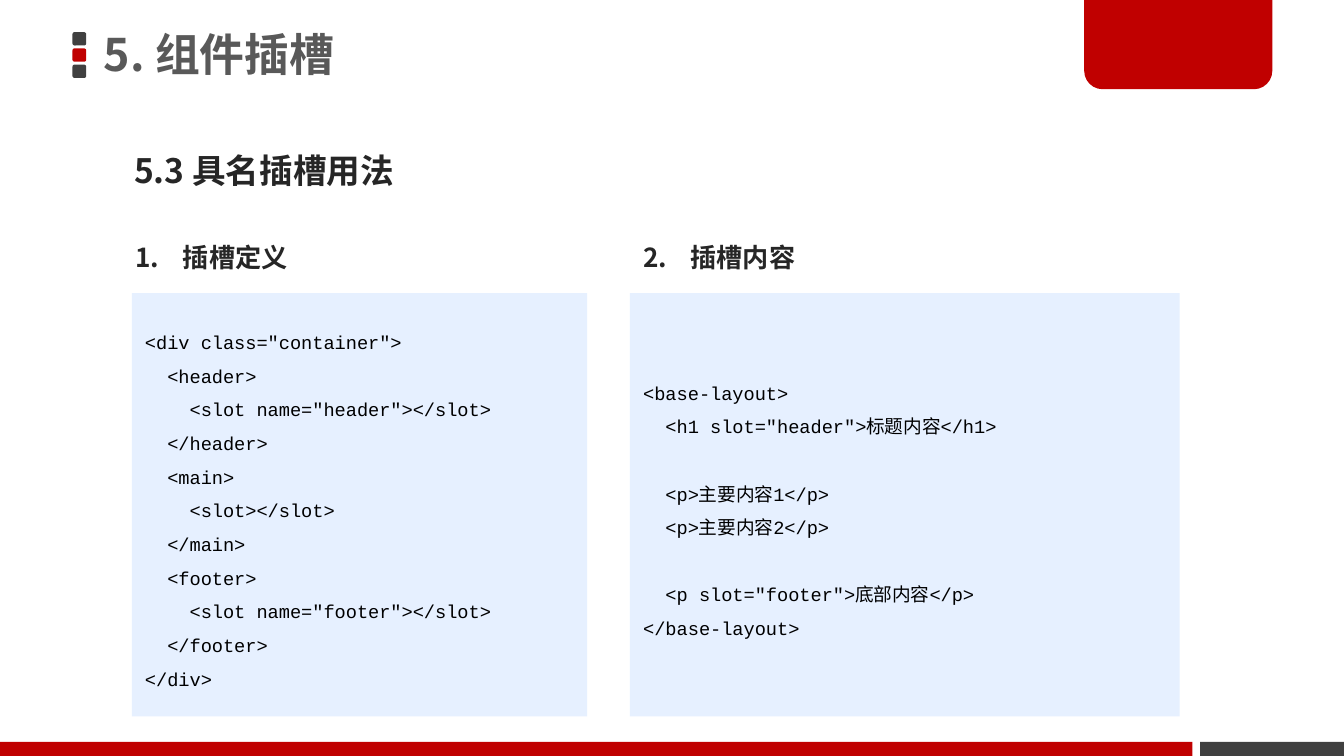
from lxml import etree
from pptx import Presentation
from pptx.dml.color import RGBColor
from pptx.enum.shapes import MSO_SHAPE
from pptx.enum.text import MSO_ANCHOR, MSO_AUTO_SIZE, PP_ALIGN
from pptx.oxml.ns import qn
from pptx.util import Pt

RECT = MSO_SHAPE.RECTANGLE
ROUND = MSO_SHAPE.ROUNDED_RECTANGLE
TAB = MSO_SHAPE.ROUND_2_SAME_RECTANGLE
TOP, MIDDLE = MSO_ANCHOR.TOP, MSO_ANCHOR.MIDDLE
LEFT = PP_ALIGN.LEFT
NO_FIT = MSO_AUTO_SIZE.NONE

SANS, MONO = "Noto Sans CJK SC", "Courier New"
RED, DARK, PANEL = "C00000", "404040", "E6F0FF"
CODE_PITCH = 18

SLOT_CODE = """<div class="container">
  <header>
    <slot name="header"></slot>
  </header>
  <main>
    <slot></slot>
  </main>
  <footer>
    <slot name="footer"></slot>
  </footer>
</div>"""

CONTENT_CODE = """<base-layout>
  <h1 slot="header">标题内容</h1>

  <p>主要内容1</p>
  <p>主要内容2</p>

  <p slot="footer">底部内容</p>
</base-layout>"""


def rgb(color):
    return RGBColor.from_string(color)


def write(p, text, size=14, font=SANS, color="262626", bold=True, spacing=1.5, before=0, hang=0):
    p.alignment = LEFT
    p.line_spacing = spacing
    p.space_before = Pt(before)
    if hang:
        pPr = p._p.get_or_add_pPr()
        pPr.set("marL", str(Pt(hang)))
        pPr.set("indent", str(-Pt(hang)))
    r = p.add_run()
    r.text = text
    r.font.size = Pt(size)
    r.font.bold = bold
    r.font.name = font
    r.font.color.rgb = rgb(color)
    latin = r._r.rPr.find(qn("a:latin"))
    ea = etree.Element(qn("a:ea"), typeface=SANS)
    latin.addnext(ea)


class Deck:
    def __init__(self, width, height):
        self.prs = Presentation()
        self.prs.slide_width, self.prs.slide_height = Pt(width), Pt(height)
        self.s = self.prs.slides.add_slide(self.prs.slide_layouts[5])

    def frame(self, sp, anchor, dx=7.2, dy=3.6):
        tf = sp.text_frame
        tf.word_wrap = True
        tf.auto_size = NO_FIT
        tf.vertical_anchor = anchor
        tf.margin_left = tf.margin_right = Pt(dx)
        tf.margin_top = tf.margin_bottom = Pt(dy)
        return tf

    def title(self, text, x, y, w, h):
        sp = self.s.shapes.title
        sp.left, sp.top, sp.width, sp.height = Pt(x), Pt(y), Pt(w), Pt(h)
        tf = self.frame(sp, MIDDLE, 6, 3)
        write(tf.paragraphs[0], text, size=24, color="595959", spacing=0.9)

    def shape(self, kind, x, y, w, h, fill):
        sp = self.s.shapes.add_shape(kind, Pt(x), Pt(y), Pt(w), Pt(h))
        sp.shadow.inherit = False
        sp.fill.solid()
        sp.fill.fore_color.rgb = rgb(fill)
        sp.line.fill.background()
        return sp

    def text(self, text, x, y, w, h, **fmt):
        sp = self.s.shapes.add_textbox(Pt(x), Pt(y), Pt(w), Pt(h))
        write(self.frame(sp, TOP).paragraphs[0], text, **fmt)

    def code(self, source, x, y, w, h):
        tf = self.frame(self.shape(RECT, x, y, w, h, PANEL), MIDDLE)
        p, before = tf.paragraphs[0], 0
        for line in source.splitlines():
            if not line:
                before += CODE_PITCH
                continue
            if p is None:
                p = tf.add_paragraph()
            write(p, line, size=10, font=MONO, color="000000", bold=False, before=before)
            p, before = None, 0


def main():
    deck = Deck(720, 405)
    for i, color in enumerate((DARK, RED, DARK)):
        deck.shape(ROUND, 38.8, 17.2 + 8.7 * i, 7.4, 7.2, color)
    deck.shape(RECT, 643, 397.5, 77, 7.5, DARK)
    deck.shape(RECT, 0, 397.5, 638.8, 7.5, RED)
    tab = deck.shape(TAB, 580.8, -1.4, 100.8, 49.2, RED)
    tab.adjustments[0] = 0.2
    tab.rotation = 180

    deck.title("5. 组件插槽", 49.7, -1.4, 424, 64)
    deck.text("5.3 具名插槽用法", 64.8, 66.2, 317.5, 39.6, size=18)

    columns = (
        ("1.\t插槽定义", 65.5, SLOT_CODE, 70.6, 244),
        ("2.\t插槽内容", 337.5, CONTENT_CODE, 337.5, 294.5),
    )
    for heading, heading_x, source, x, w in columns:
        deck.text(heading, heading_x, 117.4, 278, 32.4, hang=25.4)
        deck.code(source, x, 157, w, 226.8)
    deck.prs.save("out.pptx")


if __name__ == "__main__":
    main()
